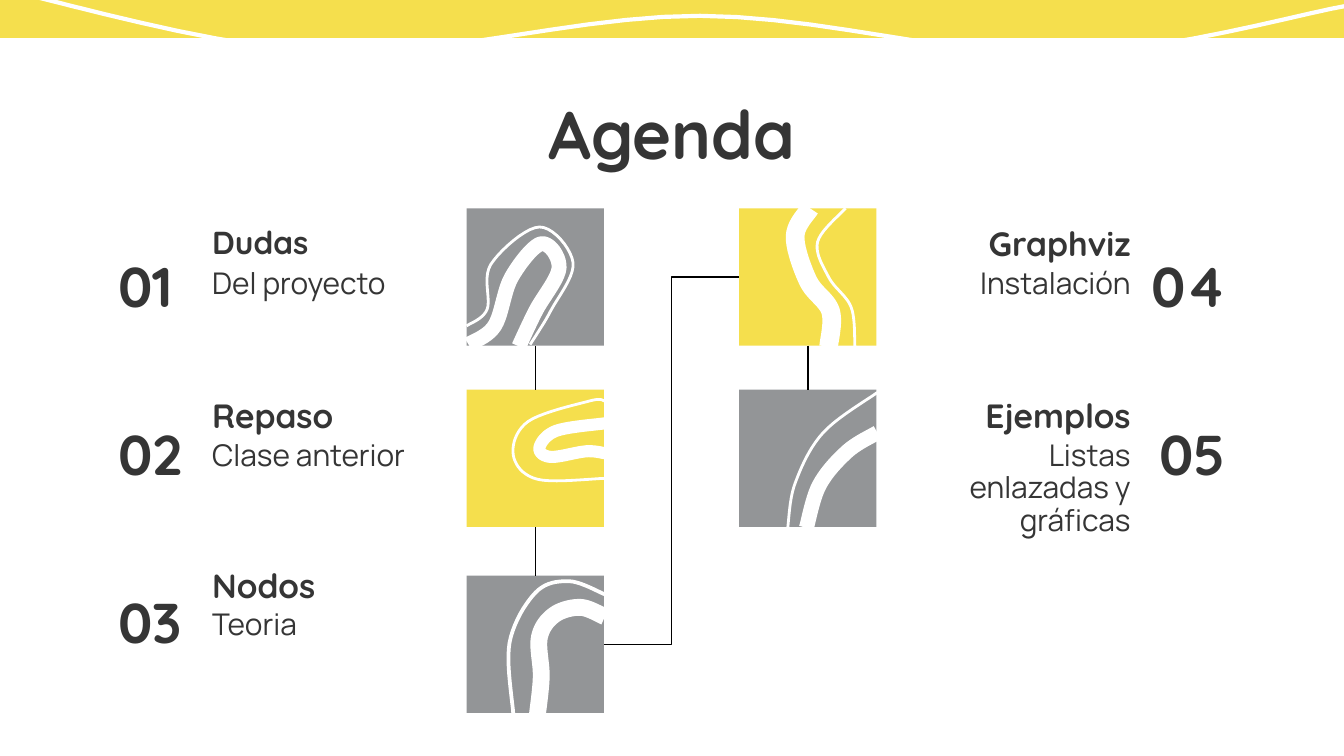
from dataclasses import dataclass

from lxml.etree import SubElement
from pptx import Presentation
from pptx.dml.color import RGBColor
from pptx.enum.shapes import MSO_CONNECTOR, MSO_SHAPE
from pptx.enum.text import MSO_ANCHOR, PP_ALIGN
from pptx.oxml.ns import qn
from pptx.util import Pt


@dataclass(frozen=True)
class Theme:
    yellow: RGBColor = RGBColor.from_string("F5DF4D")
    gray: RGBColor = RGBColor.from_string("939597")
    white: RGBColor = RGBColor.from_string("FFFFFF")
    black: RGBColor = RGBColor.from_string("000000")
    ink: RGBColor = RGBColor.from_string("353535")
    display: str = "Quicksand"
    text: str = "Manrope"
    title_size: int = 36
    number_size: int = 30
    heading_size: int = 18
    small_heading_size: int = 17
    detail_size: int = 16


THEME = Theme()
CURVE_STEPS = 10
TILE = 73.6
LEFT_TILES, RIGHT_TILES = 250, 396
TILE_TOPS = (111.6, 208.8, 308.4)
HEADING_TOPS = (112.3, 204.5, 295.2)

ENTRIES = [
    ("01", "Dudas", "Del proyecto", 0, 0, THEME.small_heading_size),
    ("02", "Repaso", "Clase anterior", 0, 1, THEME.heading_size),
    ("03", "Nodos", "Teoria", 0, 2, THEME.heading_size),
    ("04", "Graphviz", "Instalación", 1, 0, THEME.heading_size),
    ("05", "Ejemplos", "Listas enlazadas y gráficas", 1, 1, THEME.heading_size),
]

HEADER_WAVE = [(722, 3), (567, 29), (375, 8.5), (176, 28), (0, -6)]
ARCH = [
    ([(0, 63), (11, 54), (13, 30), (39, 10), (57, 29), (45, 55), (34, 73)], 1.5),
    ([(1, 73), (15, 63), (24, 37), (40, 19), (49.5, 32), (37, 55), (28, 74)], 8),
]
RIVER = [
    ([(38, 0), (30, 15), (37, 39), (49, 55), (48, 74)], 10),
    ([(57, 0), (42, 18), (48, 37), (60, 53), (62, 74)], 1.5),
]
LOOP = [
    ([(74, 6), (66, 6), (33, 17), (25, 35), (38, 48), (74, 47.5)], 1.5),
    ([(74, 18), (48, 22), (39, 31), (45, 36), (64, 33), (74, 34)], 6.5),
]
ARC = [
    ([(74, 1.5), (45, 23), (30, 50), (26, 74)], 1.5),
    ([(74, 23), (58, 33), (43, 51), (36, 74)], 8),
]
BEND = [
    ([(25, 74), (23, 36), (37, 9), (55, 3), (74, 10)], 2),
    ([(38, 74), (40, 54), (39, 33), (47, 21), (61, 17), (74, 22)], 9),
]

TILES = [
    (LEFT_TILES, 0, THEME.gray, ARCH),
    (LEFT_TILES, 1, THEME.yellow, LOOP),
    (LEFT_TILES, 2, THEME.gray, BEND),
    (RIGHT_TILES, 0, THEME.yellow, RIVER),
    (RIGHT_TILES, 1, THEME.gray, ARC),
]


def smooth(knots):
    padded = [knots[0], *knots, knots[-1]]
    points = [knots[0]]
    for before, start, end, after in zip(padded, padded[1:], padded[2:], padded[3:]):
        for step in range(1, CURVE_STEPS + 1):
            t = step / CURVE_STEPS
            points.append(tuple(
                b + t / 2 * (c - a + t * (2 * a - 5 * b + 4 * c - d
                                          + t * (3 * (b - c) + d - a)))
                for a, b, c, d in zip(before, start, end, after)))
    return points


def add_curve(page, knots, width, left=0, top=0):
    points = [(Pt(left + x), Pt(top + y)) for x, y in smooth(knots)]
    builder = page.shapes.build_freeform(*points[0])
    builder.add_line_segments(points[1:], close=False)
    curve = builder.convert_to_shape()
    curve.shadow.inherit = False
    curve.fill.background()
    curve.line.color.rgb = THEME.white
    curve.line.width = Pt(width)


def add_block(page, left, top, width, height, color):
    block = page.shapes.add_shape(MSO_SHAPE.RECTANGLE, Pt(left), Pt(top), Pt(width), Pt(height))
    block.shadow.inherit = False
    block.fill.solid()
    block.fill.fore_color.rgb = color
    block.line.fill.background()


def add_link(page, start, end, kind=MSO_CONNECTOR.STRAIGHT):
    link = page.shapes.add_connector(kind, *(Pt(value) for value in start + end))
    link.line.color.rgb = THEME.black
    link.line.width = Pt(0.75)
    SubElement(link._element.spPr, qn("a:effectLst"))


def write(box, text, size, font=THEME.display, bold=True, align=PP_ALIGN.LEFT,
          anchor=MSO_ANCHOR.TOP, spacing=1.0):
    frame = box.text_frame
    frame.word_wrap = True
    frame.vertical_anchor = anchor
    frame.margin_left = frame.margin_right = frame.margin_top = frame.margin_bottom = Pt(7.2)
    para = frame.paragraphs[0]
    para.alignment = align
    para.line_spacing = spacing
    span = para.add_run()
    span.text = text
    span.font.name = font
    span.font.size = Pt(size)
    span.font.bold = bold
    span.font.color.rgb = THEME.ink


def add_text(page, left, top, width, height, text, size, **style):
    box = page.shapes.add_textbox(Pt(left), Pt(top), Pt(width), Pt(height))
    write(box, text, size, **style)


def add_title(page, text):
    title = page.shapes.title
    title.left, title.top, title.width, title.height = Pt(56.2), Pt(42.5), Pt(607.6), Pt(48.2)
    write(title, text, THEME.title_size, align=PP_ALIGN.CENTER)


def add_entry(page, number, heading, detail, column, row, heading_size):
    align = (PP_ALIGN.LEFT, PP_ALIGN.RIGHT)[column]
    left = (106.6, 478.8)[column]
    top = HEADING_TOPS[row]
    add_text(page, left, top, 134, 24.5, heading, heading_size, align=align)
    add_text(page, left, top + 24.5, 134, 43.2, detail, THEME.detail_size,
             font=THEME.text, bold=False, align=align, spacing=0.9)
    add_text(page, (56.2, 591.8)[column], 124.6 + 90 * row, 72, 56.2, number,
             THEME.number_size, align=align, anchor=MSO_ANCHOR.MIDDLE)


def add_tile(page, left, row, color, strokes):
    top = TILE_TOPS[row]
    add_block(page, left, top, TILE, TILE, color)
    for knots, width in strokes:
        add_curve(page, knots, width, left, top)


def add_links(page):
    half = TILE / 2
    for left, row in ((LEFT_TILES, 0), (LEFT_TILES, 1), (RIGHT_TILES, 0)):
        add_link(page, (left + half, TILE_TOPS[row] + TILE), (left + half, TILE_TOPS[row + 1]))
    add_link(page, (LEFT_TILES + TILE, TILE_TOPS[2] + half),
             (RIGHT_TILES, TILE_TOPS[0] + half), MSO_CONNECTOR.ELBOW)


def main():
    deck = Presentation()
    deck.slide_width, deck.slide_height = Pt(720), Pt(405)
    page = deck.slides.add_slide(deck.slide_layouts[5])
    add_block(page, 0, 0, 720, 20.4, THEME.yellow)
    add_curve(page, HEADER_WAVE, 2.25)
    add_title(page, "Agenda")
    for entry in ENTRIES:
        add_entry(page, *entry)
    for tile in TILES:
        add_tile(page, *tile)
    add_links(page)
    deck.save("out.pptx")


if __name__ == "__main__":
    main()
